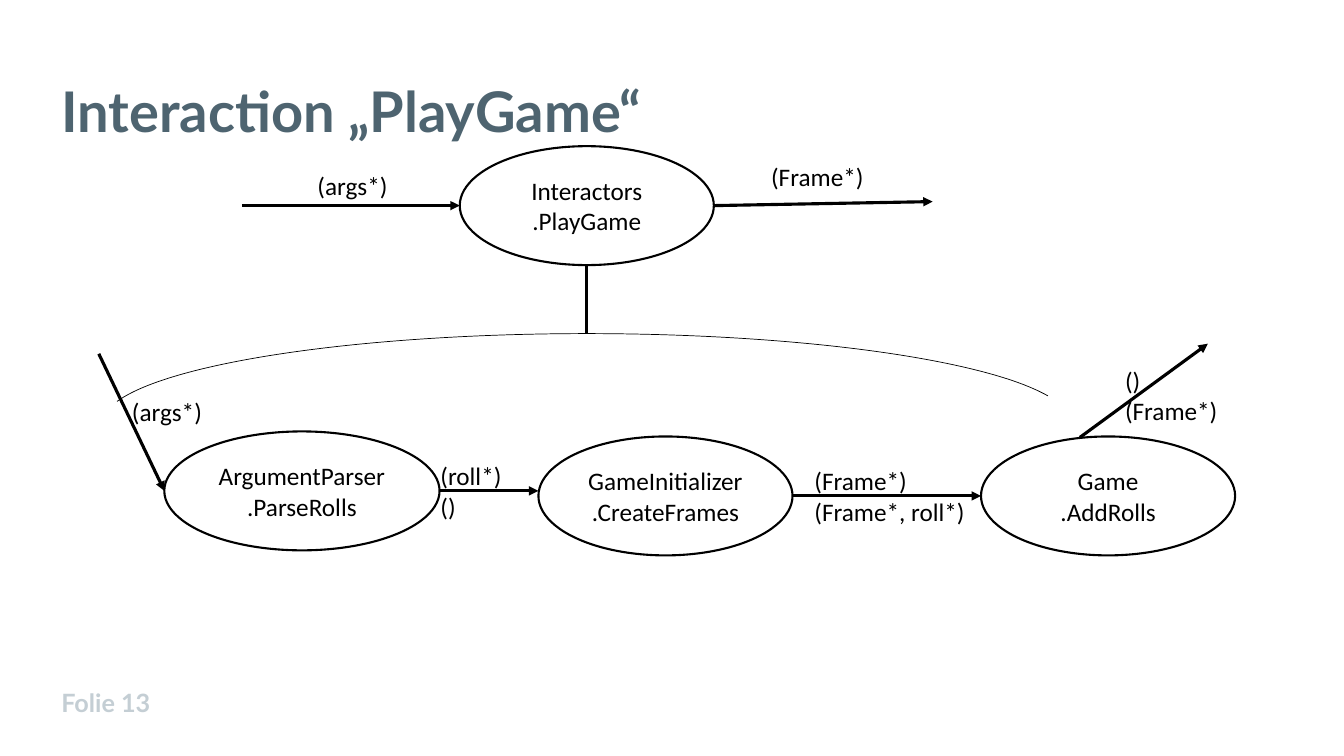
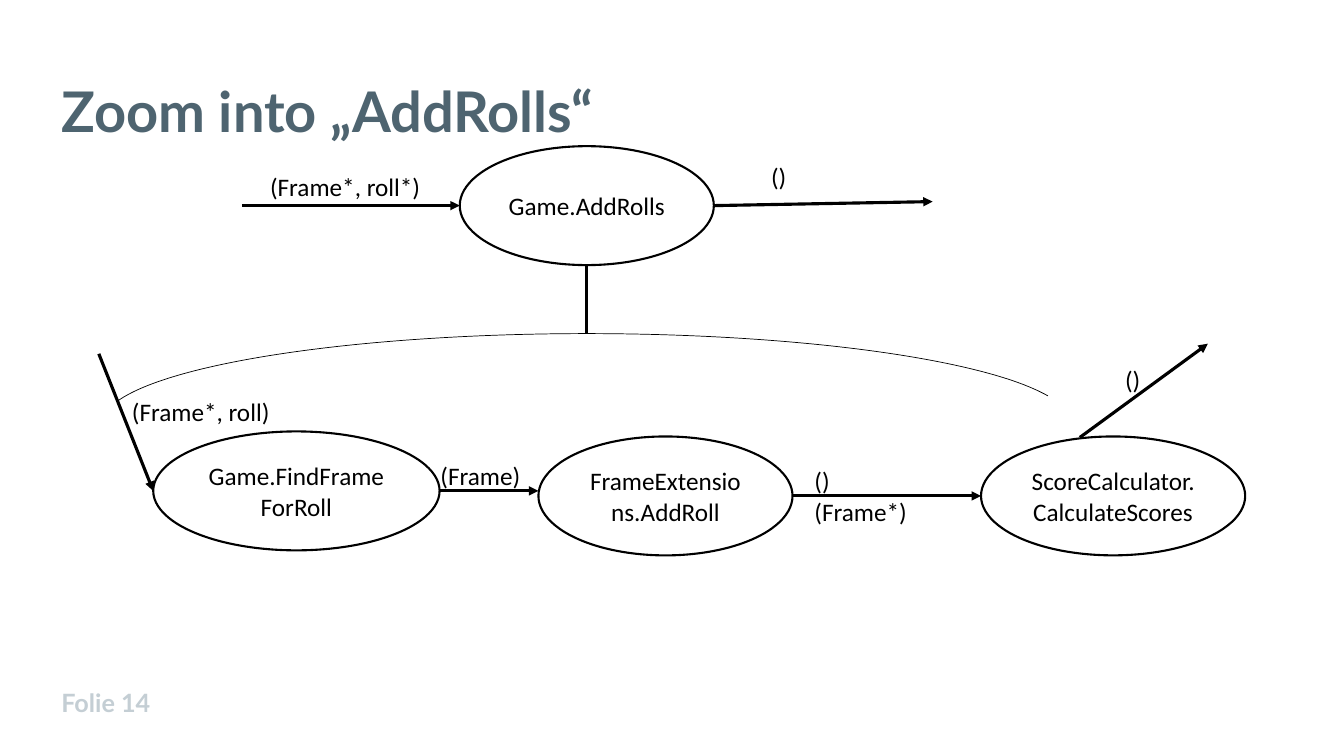
from lxml.etree import SubElement
from pptx import Presentation
from pptx.dml.color import RGBColor
from pptx.enum.shapes import MSO_CONNECTOR, MSO_SHAPE
from pptx.enum.text import MSO_ANCHOR, MSO_AUTO_SIZE, PP_ALIGN
from pptx.oxml.ns import qn
from pptx.util import Pt

PX = 9144
COLORS = {"title": "4E6470", "footer": "C4CED4", "ink": "000000"}
HIGH = 118
ARROWS = [
    (240, 204, 456, 204),
    (708, 204, 925, 200),
    (436, 487, 534, 487),
    (786, 492, 973, 492),
    (1071, 434, 1198, 341),
]
SLIDES = [
    {
        "title": "Interaction „PlayGame“",
        "nodes": [
            ("Interactors\v.PlayGame", 456, 145, 252),
            ("ArgumentParser\v.ParseRolls", 163, 428, 273),
            ("GameInitializer\v.CreateFrames", 534, 433, 252),
            ("Game\v.AddRolls", 973, 433, 252),
        ],
        "labels": [
            ("(args*)", 305, 164, 91, False),
            ("(Frame*)", 755, 155, 113, False),
            ("(args*)", 121, 388, 91, True),
            ("(roll*)\n()", 427, 452, 121, True),
            ("(Frame*)\n(Frame*, roll*)", 798, 457, 213, True),
            ("()\n(Frame*)", 1106, 357, 113, False),
        ],
    },
    {
        "title": "Zoom into „AddRolls“",
        "nodes": [
            ("Game.AddRolls", 456, 145, 252),
            ("Game.FindFrameForRoll", 152, 428, 284),
            ("FrameExtensions.AddRoll", 534, 433, 252),
            ("ScoreCalculator.CalculateScores", 973, 433, 262),
        ],
        "labels": [
            ("(Frame*, roll*)", 258, 165, 171, False),
            ("()", 755, 155, 36, False),
            ("(Frame*, roll)", 121, 388, 199, True),
            ("(Frame)", 427, 452, 121, True),
            ("()\n(Frame*)", 798, 457, 213, True),
            ("()", 1106, 357, 36, False),
        ],
    },
]


def write(frame, text, size, font, color, bold=False, align=PP_ALIGN.LEFT):
    frame.text = text
    for para in frame.paragraphs:
        para.alignment = align
        para.font.size = Pt(size)
        para.font.name = font
        para.font.bold = bold
        para.font.color.rgb = RGBColor.from_string(COLORS[color])


def stroke(line, width):
    line.color.rgb = RGBColor.from_string(COLORS["ink"])
    line.width = Pt(width)


deck = Presentation()
deck.slide_width = 1333 * PX
deck.slide_height = 750 * PX

for number, page in enumerate(SLIDES, 13):
    slide = deck.slides.add_slide(deck.slide_layouts[5])
    shapes = slide.shapes

    title = shapes.title
    title.left, title.top, title.width, title.height = (n * PX for n in (51, 56, 1232, 114))
    frame = title.text_frame
    frame.vertical_anchor = MSO_ANCHOR.MIDDLE
    write(frame, page["title"], 40, "Lato", "title", True)
    frame.paragraphs[0].line_spacing = 0.9

    footer = shapes.add_textbox(51 * PX, 677 * PX, 300 * PX, 40 * PX)
    frame = footer.text_frame
    frame.word_wrap = True
    frame.vertical_anchor = MSO_ANCHOR.BOTTOM
    write(frame, f"Folie {number}", 18, "Lato", "footer", True)

    arc = shapes.add_shape(MSO_SHAPE.ARC, 101 * PX, 331 * PX, 962 * PX, 179 * PX)
    arc.adjustments[0] = 109.64
    arc.adjustments[1] = 213.92
    arc.shadow.inherit = False
    arc.fill.background()
    stroke(arc.line, 0.5)

    for text, left, top, width in page["nodes"]:
        node = shapes.add_shape(MSO_SHAPE.OVAL, left * PX, top * PX, width * PX, HIGH * PX)
        node.shadow.inherit = False
        node.fill.background()
        stroke(node.line, 1.5)
        frame = node.text_frame
        frame.word_wrap = True
        frame.vertical_anchor = MSO_ANCHOR.MIDDLE
        write(frame, text, 18, "Calibri", "ink", align=PP_ALIGN.CENTER)

    entry = (98, 351, page["nodes"][1][1], 487)
    stem = (582, 263, 582, 331)
    for ends in [*ARROWS, entry, stem]:
        link = shapes.add_connector(MSO_CONNECTOR.STRAIGHT, *(n * PX for n in ends))
        stroke(link.line, 2.25)
        if ends != stem:
            SubElement(link.line._get_or_add_ln(), qn("a:tailEnd"), type="triangle")
        SubElement(link._element.spPr, qn("a:effectLst"))

    for text, left, top, width, wrap in page["labels"]:
        height = 40 + 31 * text.count("\n")
        label = shapes.add_textbox(left * PX, top * PX, width * PX, height * PX)
        frame = label.text_frame
        frame.word_wrap = wrap
        frame.auto_size = MSO_AUTO_SIZE.SHAPE_TO_FIT_TEXT
        write(frame, text, 18, "Calibri", "ink")

deck.save("out.pptx")
